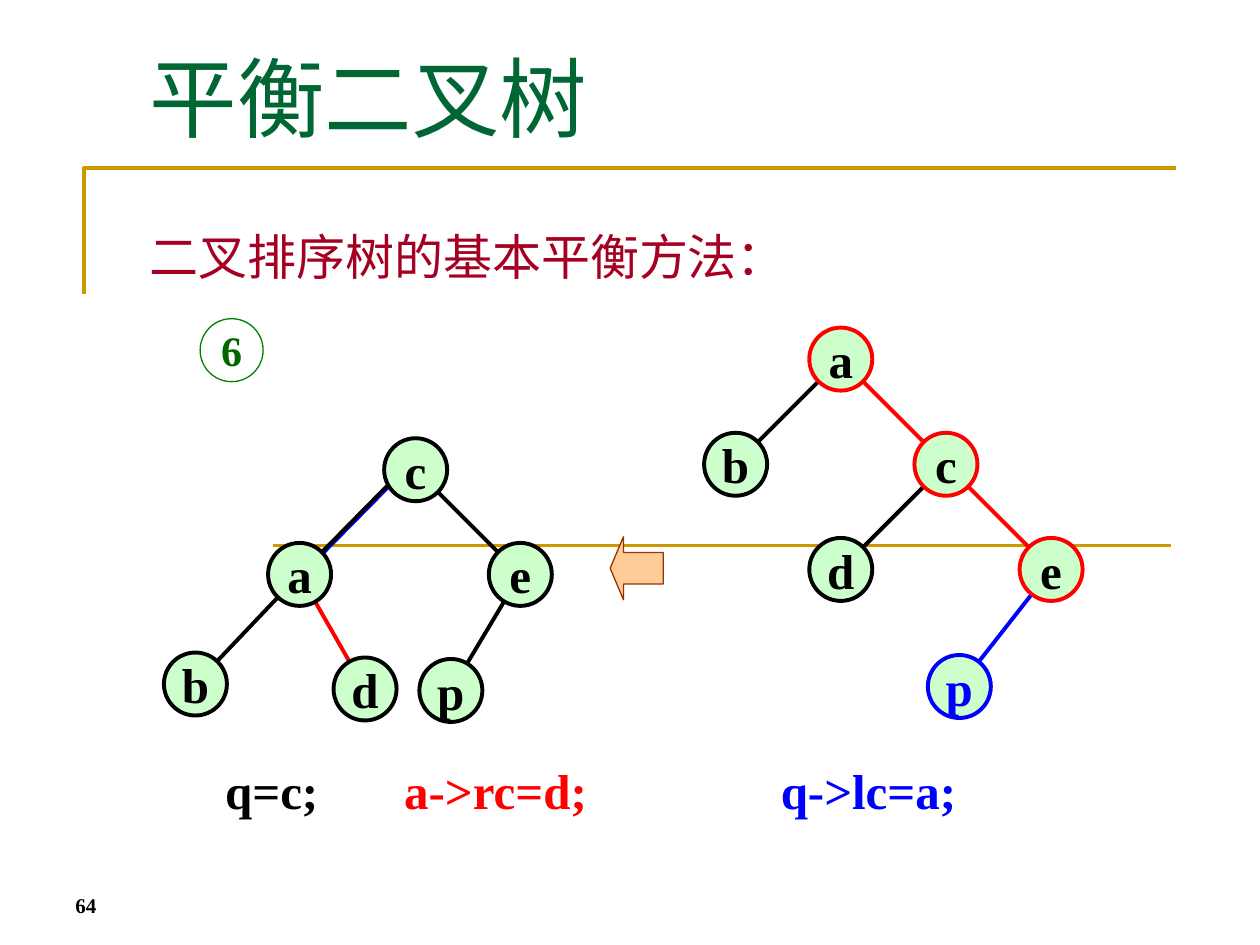
from math import hypot

from pptx import Presentation
from pptx.dml.color import RGBColor
from pptx.enum.shapes import MSO_CONNECTOR, MSO_SHAPE
from pptx.enum.text import MSO_ANCHOR, PP_ALIGN
from pptx.oxml.ns import qn
from pptx.util import Cm, Pt

BLACK, RED, BLUE = "000000", "FF0000", "0000FF"
GOLD, MINT = "CC9900", "CCFFCC"


def colour(hex_code):
    return RGBColor.from_string(hex_code)


class TreeSlide:
    font = "Times New Roman"
    diameter = 1.27
    edge_gap = 0.61
    stroke = 2.25

    def __init__(self, slide):
        self.shapes = slide.shapes

    def set_text(self, frame, content, size, hue, bold=True, font=None):
        frame.text = content
        for run in frame.paragraphs[0].runs:
            run.font.name = font or self.font
            run.font.size = Pt(size)
            run.font.bold = bold
            run.font.color.rgb = colour(hue)

    def paint(self, shape, fill, outline, width):
        shape.shadow.inherit = False
        if fill:
            shape.fill.solid()
            shape.fill.fore_color.rgb = colour(fill)
        else:
            shape.fill.background()
        shape.line.color.rgb = colour(outline)
        shape.line.width = Pt(width)

    def label(self, content, left, top, width, height, size, hue,
              bold=True, font=None, anchor=MSO_ANCHOR.TOP):
        box = self.shapes.add_textbox(Cm(left), Cm(top), Cm(width), Cm(height))
        box.text_frame.word_wrap = True
        box.text_frame.vertical_anchor = anchor
        self.set_text(box.text_frame, content, size, hue, bold, font)

    def line(self, start, end, hue=BLACK, width=stroke):
        connector = self.shapes.add_connector(
            MSO_CONNECTOR.STRAIGHT, *(Cm(v) for v in (*start, *end)))
        connector.line.color.rgb = colour(hue)
        connector.line.width = Pt(width)
        properties = connector._element.spPr
        properties.append(properties.makeelement(qn("a:effectLst"), {}))

    def edge(self, parent, child, hue=BLACK):
        """Line between two node centres, stopping at the circles."""
        dx, dy = child[0] - parent[0], child[1] - parent[1]
        share = self.edge_gap / hypot(dx, dy)
        self.line((parent[0] + dx * share, parent[1] + dy * share),
                  (child[0] - dx * share, child[1] - dy * share), hue)

    def circle(self, content, centre, outline=BLACK, hue=BLACK,
               fill=MINT, width=stroke, size=28):
        left, top = (Cm(v - self.diameter / 2) for v in centre)
        node = self.shapes.add_shape(MSO_SHAPE.OVAL, left, top,
                                     Cm(self.diameter), Cm(self.diameter))
        self.paint(node, fill, outline, width)
        frame = node.text_frame
        frame.word_wrap = False
        frame.vertical_anchor = MSO_ANCHOR.MIDDLE
        self.set_text(frame, content, size, hue)
        frame.paragraphs[0].alignment = PP_ALIGN.CENTER

    def tree(self, centres, edges, outlines, hues):
        for parent, child, hue in edges:
            self.edge(centres[parent], centres[child], hue)
        for name, centre in centres.items():
            self.circle(name, centre, outlines.get(name, BLACK),
                        hues.get(name, BLACK))

    def corner(self, points):
        builder = self.shapes.build_freeform(*(Cm(v) for v in points[0]))
        builder.add_line_segments([(Cm(x), Cm(y)) for x, y in points[1:]],
                                  close=False)
        self.paint(builder.convert_to_shape(), None, GOLD, 2)

    def left_arrow(self, left, top, width, height):
        arrow = self.shapes.add_shape(MSO_SHAPE.RIGHT_ARROW, Cm(left), Cm(top),
                                      Cm(width), Cm(height))
        arrow.rotation = 180
        arrow.adjustments[0] = 0.5
        arrow.adjustments[1] = 0.25
        self.paint(arrow, "FFCC99", "993300", 0.75)


def main():
    deck = Presentation()
    deck.slide_width, deck.slide_height = Cm(25.4), Cm(19.05)
    page = TreeSlide(deck.slides.add_slide(deck.slide_layouts[6]))

    # Frame lines
    page.corner([(1.69, 5.93), (1.69, 3.39), (23.7, 3.39)])
    page.line((5.5, 11), (23.6, 11), GOLD, 1.5)

    # Headings and page number
    page.label("平衡二叉树", 2.77, 0.76, 20.04, 3.18, 50, "006633", bold=False)
    page.label("二叉排序树的基本平衡方法：", 2.77, 4.45, 20.04, 12.57, 28,
               "A50021", bold=False, font="Arial")
    page.label("64", 1.27, 17.35, 5.92, 1.27, 12, BLACK,
               anchor=MSO_ANCHOR.BOTTOM)

    # Case number
    page.circle("6", (4.67, 7.06), "008000", "006600", None, 0.75, 24)

    # Balanced tree; the link c-a has a blue line under the black one
    page.line((7.83, 9.81), (6.5, 11.16), BLUE)
    page.line((7.8, 9.8), (6.45, 11.17))
    balanced = {"c": (8.38, 9.47), "e": (10.49, 11.58), "p": (9.09, 13.92),
                "d": (7.36, 13.89), "a": (6.04, 11.58), "b": (3.94, 13.79)}
    page.tree(balanced,
              [("c", "e", BLACK), ("e", "p", BLACK),
               ("a", "d", RED), ("a", "b", BLACK)], {}, {})

    # Step arrow
    page.left_arrow(12.3, 10.82, 1.07, 1.27)

    # Unbalanced tree on a square grid
    root_x, root_y, step = 16.95, 7.24, 2.12
    grid = {"b": (-1, 1), "d": (0, 2), "a": (0, 0), "c": (1, 1), "e": (2, 2)}
    unbalanced = {name: (root_x + column * step, root_y + row * step)
                  for name, (column, row) in grid.items()}
    unbalanced["p"] = (19.34, 13.84)
    page.tree(unbalanced,
              [("a", "b", BLACK), ("a", "c", RED), ("c", "d", BLACK),
               ("c", "e", RED), ("e", "p", BLUE)],
              {"a": RED, "c": RED, "e": RED, "p": BLUE}, {"p": BLUE})

    # Assignments
    for code, left, width, hue in [("q=c;", 4.29, 2.41, BLACK),
                                   ("a->rc=d;", 7.9, 6.2, RED),
                                   ("q->lc=a;", 15.49, 5.79, BLUE)]:
        page.label(code, left, 15.21, width, 1.45, 28, hue)

    deck.save("out.pptx")


if __name__ == "__main__":
    main()
